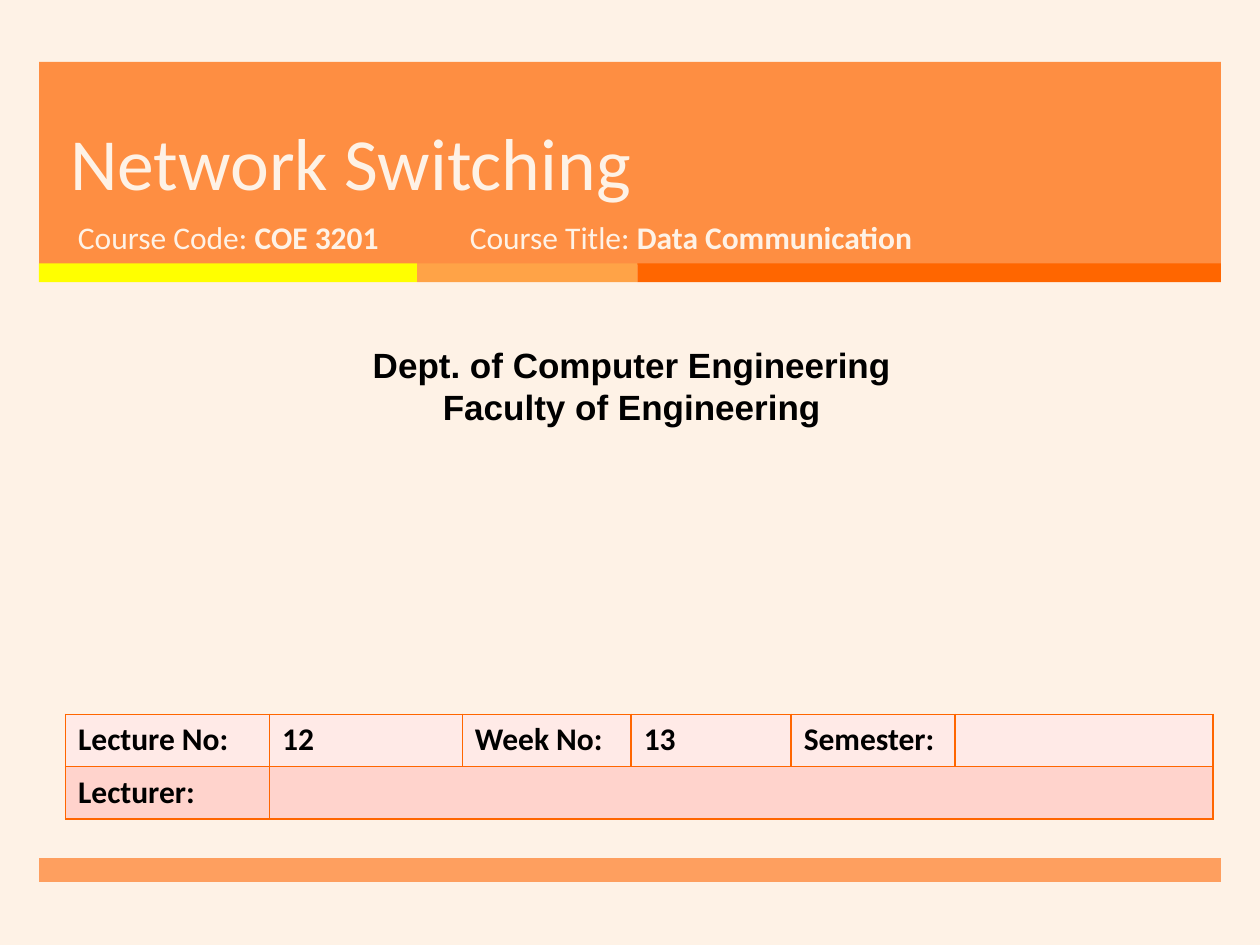
import lxml.etree
import pptx
import pptx.dml.color
import pptx.enum.shapes
import pptx.enum.text
import pptx.oxml.ns
import pptx.util

Inches = pptx.util.Inches
Pt = pptx.util.Pt
Align = pptx.enum.text.PP_ALIGN
Anchor = pptx.enum.text.MSO_ANCHOR

COLORS = {
    "background": "FEF2E6",
    "band": "FF7D26",
    "yellow": "FFFF00",
    "amber": "FFA347",
    "orange": "FF6600",
    "black": "000000",
    "row_light": "FFEAE7",
    "row_dark": "FFD3CC",
}


def rgb(name):
    return pptx.dml.color.RGBColor.from_string(COLORS[name])


def write_text(paragraph, text, size=18, color="background", bold=False, font="Calibri"):
    run = paragraph.add_run()
    run.text = text
    run.font.name = font
    run.font.size = Pt(size)
    run.font.bold = bold
    run.font.color.rgb = rgb(color)


def add_element(parent, tag, **attributes):
    return lxml.etree.SubElement(parent, pptx.oxml.ns.qn(tag), **attributes)


class SlideBuilder:
    """Holds the current slide and the style of its elements."""

    border_color = "orange"
    border_width = Pt(1)

    def __init__(self, slide):
        self.slide = slide
        slide.background.fill.solid()
        slide.background.fill.fore_color.rgb = rgb("background")

    def bar(self, left, top, width, height, color, opacity=100):
        shape = self.slide.shapes.add_shape(
            pptx.enum.shapes.MSO_SHAPE.RECTANGLE,
            Inches(left), Inches(top), Inches(width), Inches(height))
        shape.shadow.inherit = False
        shape.line.fill.background()
        shape.fill.solid()
        shape.fill.fore_color.rgb = rgb(color)
        if opacity < 100:
            color_element = shape.fill._xPr.find(".//" + pptx.oxml.ns.qn("a:srgbClr"))
            add_element(color_element, "a:alpha", val=str(opacity * 1000))

    def text(self, left, top, width, height, lines, align=Align.LEFT,
             anchor=Anchor.TOP, line_spacing=None):
        """Each line is a list of (text, format) runs."""
        box = self.slide.shapes.add_textbox(
            Inches(left), Inches(top), Inches(width), Inches(height))
        frame = box.text_frame
        frame.word_wrap = True
        frame.vertical_anchor = anchor
        for index, runs in enumerate(lines):
            paragraph = frame.add_paragraph() if index else frame.paragraphs[0]
            paragraph.alignment = align
            paragraph.line_spacing = line_spacing
            for text, text_format in runs:
                write_text(paragraph, text, **text_format)

    def border(self, cell):
        properties = cell._tc.get_or_add_tcPr()
        for side in ("a:lnL", "a:lnR", "a:lnT", "a:lnB"):
            line = add_element(properties, side, w=str(self.border_width))
            fill = add_element(line, "a:solidFill")
            add_element(fill, "a:srgbClr", val=COLORS[self.border_color])

    def table(self, left, top, column_widths, row_height, rows, row_colors):
        table = self.slide.shapes.add_table(
            len(rows), len(column_widths), Inches(left), Inches(top),
            Inches(sum(column_widths)), Inches(row_height * len(rows))).table
        for column, width in zip(table.columns, column_widths):
            column.width = Inches(width)
        for row_index, (texts, color) in enumerate(zip(rows, row_colors)):
            table.rows[row_index].height = Inches(row_height)
            for column_index, text in enumerate(texts):
                cell = table.cell(row_index, column_index)
                self.border(cell)
                cell.fill.solid()
                cell.fill.fore_color.rgb = rgb(color)
                if text:
                    write_text(cell.text_frame.paragraphs[0], text,
                               color="black", bold=True)
        return table


def main():
    presentation = pptx.Presentation()
    presentation.slide_width = Inches(10)
    presentation.slide_height = Inches(7.5)
    builder = SlideBuilder(presentation.slides.add_slide(presentation.slide_layouts[6]))

    margin, content_width = 0.31, 9.38
    builder.bar(margin, 0.49, content_width, 1.61, "band", opacity=85)
    left = margin
    for width, color in ((3, "yellow"), (1.75, "amber"), (4.63, "orange")):
        builder.bar(left, 2.09, width, 0.15, color)
        left += width
    builder.bar(margin, 6.81, content_width, 0.19, "band", opacity=70)

    builder.text(0.46, 0.49, 8.54, 1.19, [[("Network Switching", {"size": 42})]],
                 anchor=Anchor.BOTTOM, line_spacing=Pt(46))
    for left, width, label, value in (
            (0.52, 3.05, "Course Code: ", "COE 3201"),
            (3.63, 4.55, "Course Title: ", "Data Communication")):
        builder.text(left, 1.68, width, 0.53, [[(label, {}), (value, {"bold": True})]])

    department = {"size": 20, "color": "black", "bold": True, "font": "Arial"}
    builder.text(0.08, 2.68, 9.87, 0.77,
                 [[("Dept. of Computer Engineering", department)],
                  [("Faculty of Engineering", department)]],
                 align=Align.CENTER)

    table = builder.table(
        0.52, 5.67, [1.62, 1.53, 1.34, 1.27, 1.3, 2.05], 0.415,
        [["Lecture No:", "12", "Week No:", "13", "Semester:", ""],
         ["Lecturer:", "", "", "", "", ""]],
        ["row_light", "row_dark"])
    table.cell(1, 1).merge(table.cell(1, 5))

    presentation.save("out.pptx")


if __name__ == "__main__":
    main()
